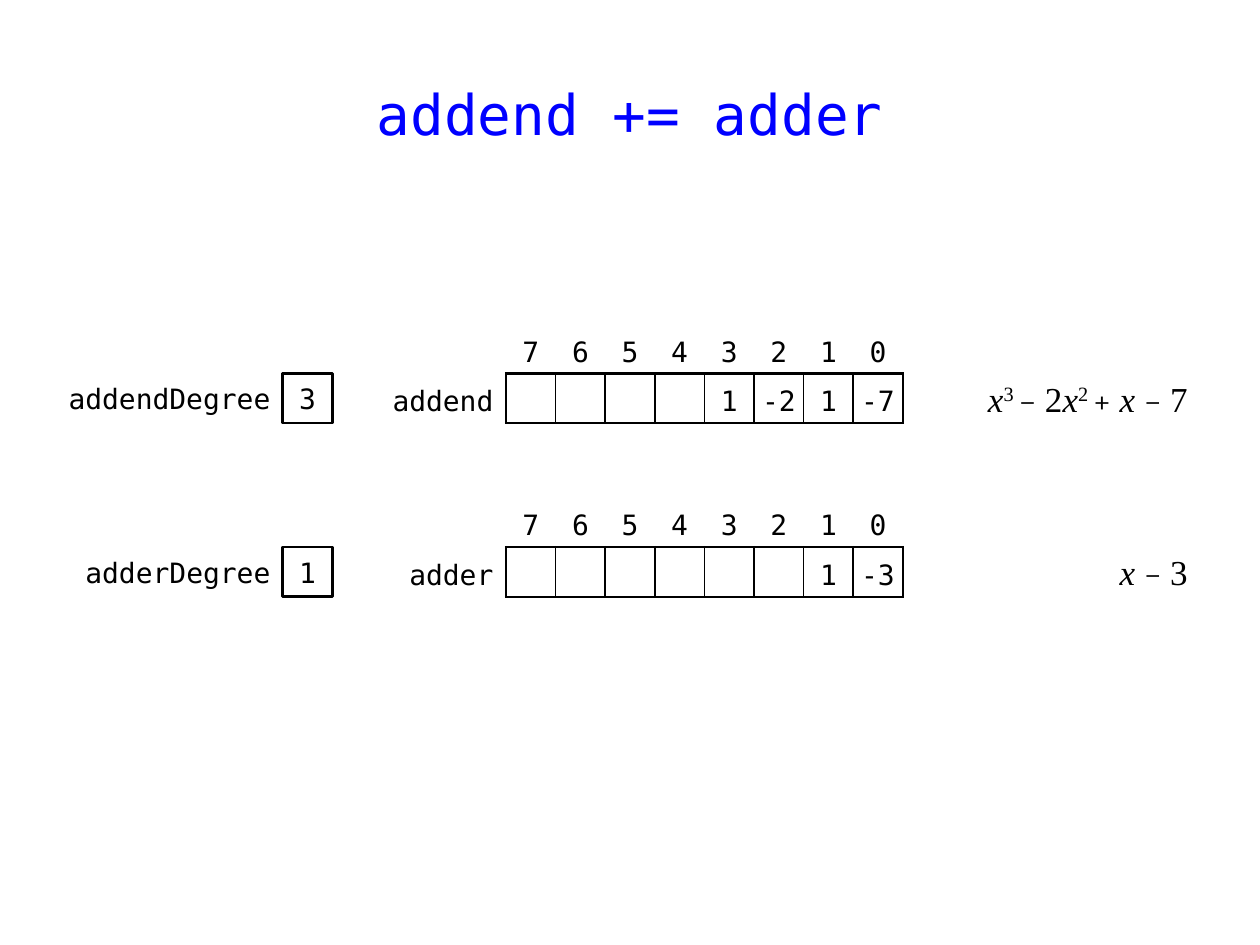
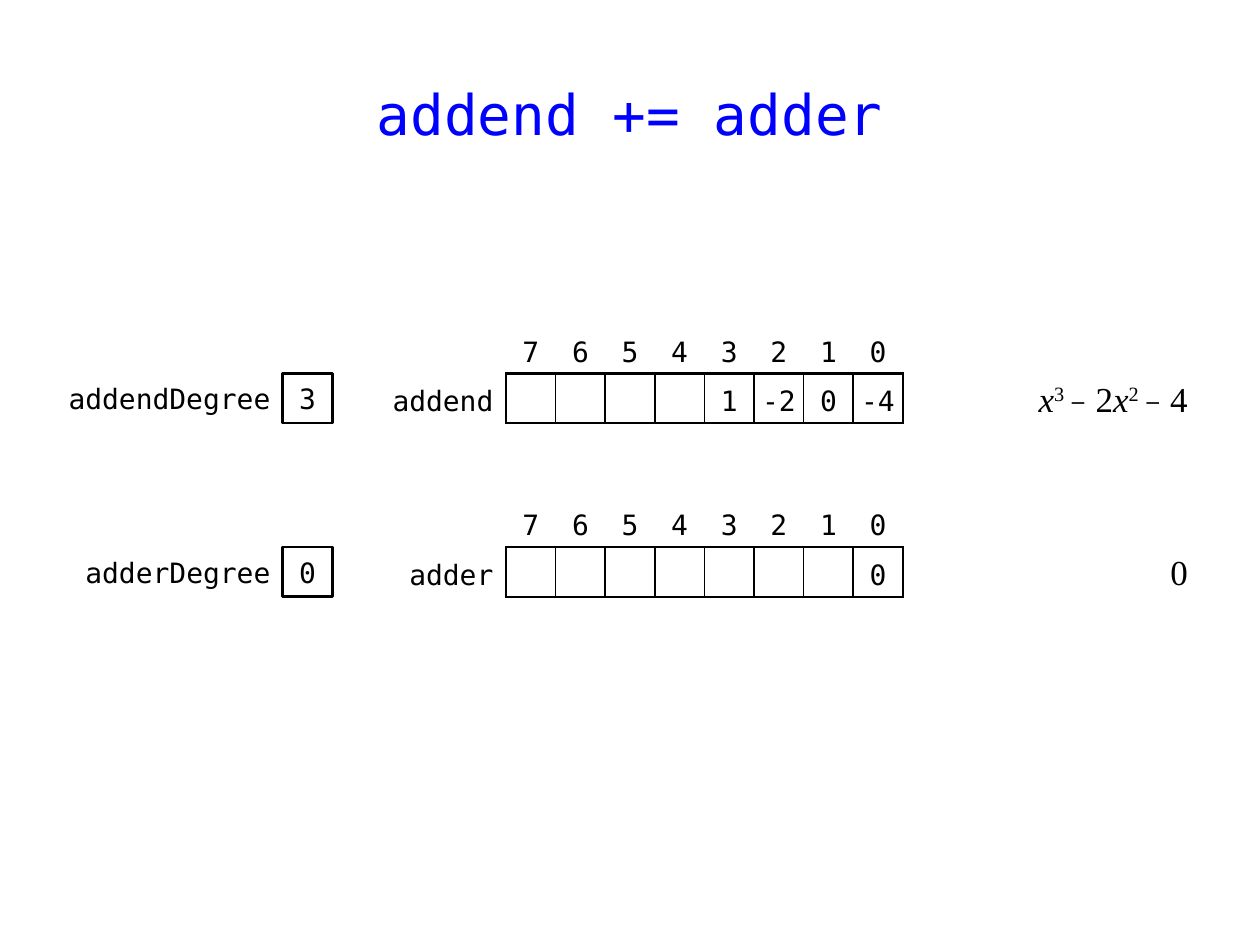
from lxml.etree import SubElement as Sub
from pptx import Presentation
from pptx.dml.color import RGBColor
from pptx.enum.shapes import MSO_SHAPE as Shape
from pptx.enum.text import MSO_ANCHOR as Anchor, PP_ALIGN as Align
from pptx.oxml.ns import qn
from pptx.util import Pt

BLACK = RGBColor(0, 0, 0)
WHITE = RGBColor(255, 255, 255)
BLUE = RGBColor(0, 0, 255)
MONO, SERIF, MATH = "DejaVu Sans Mono", "Times New Roman", "Cambria"

CELL = 28.35
SLOTS = 8
LABEL = 70.87
PAD = 7.2
EDGE = 1.5
TABLE_X = 218.27
BOX_X = 161.6
RIGHT = 685.8
ROW_Y = (213.4, 312.6)

# Kinds of formula part
VAR, POWER, SIGN, NUM = range(4)
MINUS, PLUS = ("−", SIGN), ("+", SIGN)
CUBE = [("x", VAR), ("3 ", POWER), MINUS, (" 2", NUM), ("x", VAR), ("2 ", POWER)]

# Each row: name, degree, coefficients from the highest power down, formula
BEFORE = [
    ("addend", 3, (1, -2, 1, -7),
     CUBE + [PLUS, (" ", NUM), ("x ", VAR), MINUS, (" 7", NUM)]),
    ("adder", 1, (1, -3), [("x ", VAR), MINUS, (" 3", NUM)]),
]
AFTER = [
    ("addend", 3, (1, -2, 0, -4), CUBE + [MINUS, (" 4", NUM)]),
    ("adder", 0, (0,), [("0", NUM)]),
]


def style(run, size=16, name=MONO, color=BLACK):
    font = run.font
    font.size, font.name = Pt(size), name
    font.color.rgb = color


def set_frame(frame, align, pad=PAD):
    frame.word_wrap = True
    frame.vertical_anchor = Anchor.MIDDLE
    frame.margin_left = frame.margin_right = Pt(pad)
    frame.margin_top = frame.margin_bottom = 0
    frame.paragraphs[0].alignment = align


def add_text(slide, x, y, width, height, text, align=Align.RIGHT, **look):
    box = slide.shapes.add_textbox(Pt(x), Pt(y), Pt(width), Pt(height))
    frame = box.text_frame
    frame.text = text
    set_frame(frame, align)
    for run in frame.paragraphs[0].runs:
        style(run, **look)
    return frame.paragraphs[0]


def add_formula(slide, y, parts):
    para = add_text(slide, RIGHT - 156, y, 156, CELL, "")
    for text, kind in parts:
        run = para.add_run()
        run.text = text
        if kind == SIGN:
            style(run, 18, MATH)
        else:
            style(run, 20, SERIF)
        run.font.italic = kind == VAR
        if kind == POWER:
            run.font._element.set("baseline", "30000")


def add_degree(slide, y, name, degree):
    """Draw the boxed degree with its variable name on the left."""
    add_text(slide, BOX_X - 142, y, 142, CELL, name + "Degree")
    box = slide.shapes.add_shape(Shape.RECTANGLE, Pt(BOX_X), Pt(y), Pt(CELL), Pt(CELL))
    box.shadow.inherit = False
    box.fill.solid()
    box.fill.fore_color.rgb = WHITE
    box.line.color.rgb = BLACK
    box.line.width = Pt(EDGE)
    box.text_frame.text = str(degree)
    set_frame(box.text_frame, Align.CENTER, 0)
    style(box.text_frame.paragraphs[0].runs[0])


def set_borders(cell, **widths):
    """Draw the sides given (L, R, T, B) and hide the others."""
    props = cell._tc.get_or_add_tcPr()
    for side in "LRTB":
        width = widths.get(side, 0)
        line = Sub(props, qn("a:ln" + side), w=str(Pt(width)))
        if width:
            fill = Sub(line, qn("a:solidFill"))
            Sub(fill, qn("a:srgbClr"), val=str(BLACK))
        else:
            Sub(line, qn("a:noFill"))


def fill_cell(cell, text, align=Align.CENTER, left=0, right=0, **widths):
    set_borders(cell, **widths)
    cell.fill.background()
    cell.vertical_anchor = Anchor.MIDDLE
    cell.margin_left, cell.margin_right = Pt(left), Pt(right)
    cell.margin_top = cell.margin_bottom = 0
    cell.text_frame.text = text
    para = cell.text_frame.paragraphs[0]
    para.alignment, para.line_spacing = align, 1.25
    for run in para.runs:
        style(run)


def add_array(slide, y, name, coeffs):
    """Draw the coefficient slots, with their indices on the row above."""
    frame = slide.shapes.add_table(2, SLOTS + 1, Pt(TABLE_X), Pt(y - CELL),
                                   Pt(LABEL + SLOTS * CELL), Pt(2 * CELL))
    table = frame.table
    table.first_row = table.horz_banding = False
    for row in table.rows:
        row.height = Pt(CELL)
    for col in table.columns:
        col.width = Pt(CELL)
    table.columns[0].width = Pt(LABEL)
    fill_cell(table.cell(0, 0), "")
    fill_cell(table.cell(1, 0), name, Align.RIGHT, 2.83, PAD, R=EDGE)
    values = [""] * (SLOTS - len(coeffs)) + [str(num) for num in coeffs]
    for col, value in enumerate(values, 1):
        fill_cell(table.cell(0, col), str(SLOTS - col), B=EDGE)
        fill_cell(table.cell(1, col), value, T=EDGE, B=EDGE,
                  L=EDGE if col == 1 else 1, R=EDGE if col == SLOTS else 1)


def add_slide(deck, rows):
    slide = deck.slides.add_slide(deck.slide_layouts[6])
    add_text(slide, 34, 29, 652, 71, "addend += adder", Align.CENTER,
             size=32, color=BLUE)
    for y, (name, degree, coeffs, formula) in zip(ROW_Y, rows):
        add_degree(slide, y, name, degree)
        add_array(slide, y, name, coeffs)
        add_formula(slide, y, formula)


def main():
    deck = Presentation()
    deck.slide_width, deck.slide_height = Pt(720), Pt(540)
    for rows in (BEFORE, AFTER):
        add_slide(deck, rows)
    deck.save("out.pptx")


if __name__ == "__main__":
    main()
